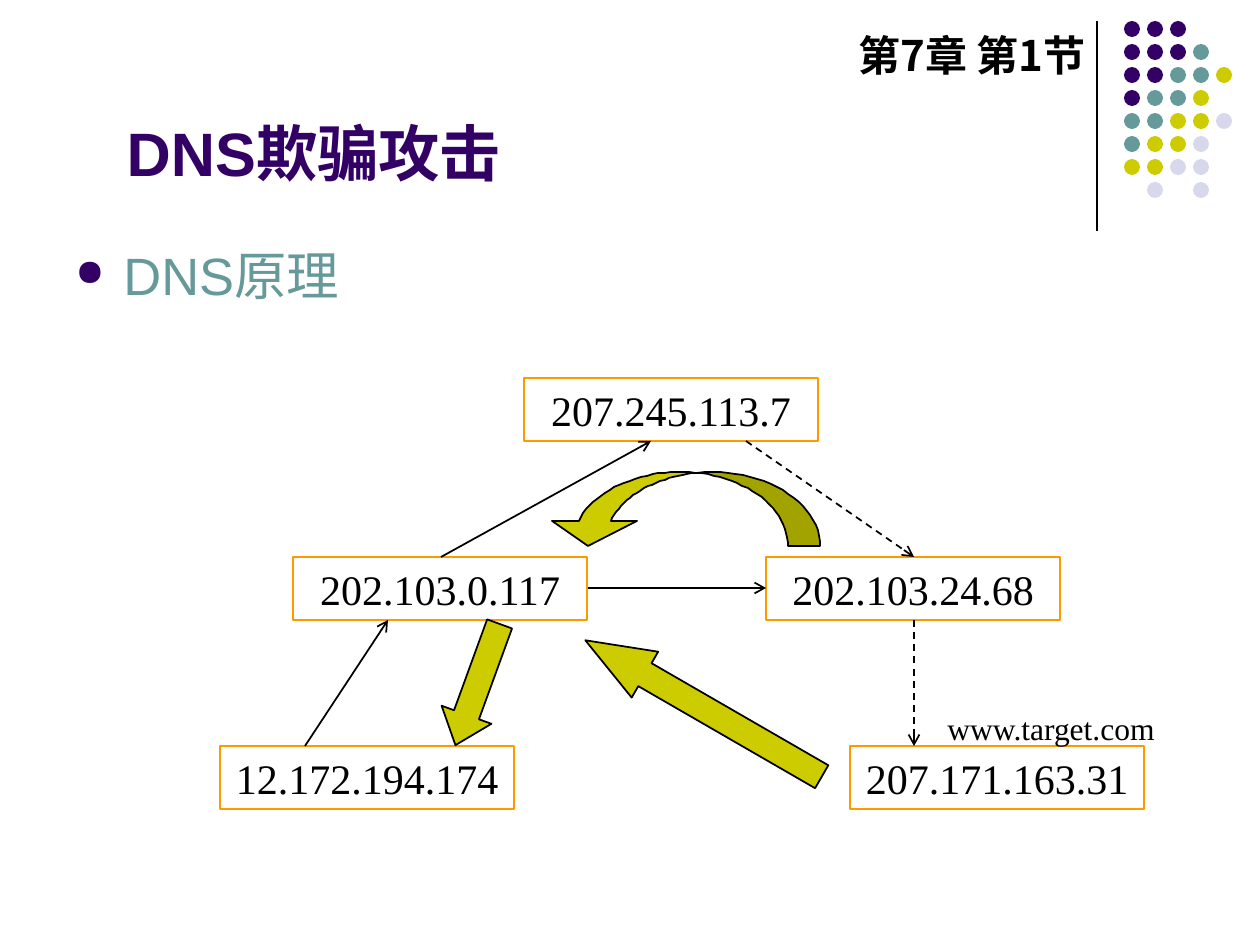
import math

import pptx
import pptx.dml.color
import pptx.enum.dml
import pptx.enum.shapes
import pptx.enum.text
import pptx.oxml
import pptx.oxml.ns
import pptx.util

PX = 914400 / 126
COLORS = {
    "purple": "330066", "teal": "669999", "olive": "CCCC00", "shade": "A3A300",
    "pale": "D8D8EC", "orange": "FF9900", "black": "000000",
}
SHAPES = pptx.enum.shapes.MSO_SHAPE
ALIGN = pptx.enum.text.PP_ALIGN
ANCHOR = pptx.enum.text.MSO_ANCHOR


def px(value):
    return pptx.util.Emu(round(value * PX))


def box_emu(*box):
    return [px(value) for value in box]


def rgb(name):
    return pptx.dml.color.RGBColor.from_string(COLORS[name])


def add_element(parent, tag, **attributes):
    element = pptx.oxml.parse_xml(f"<a:{tag} {pptx.oxml.ns.nsdecls('a')}/>")
    for key, value in attributes.items():
        element.set(key, str(value))
    parent.append(element)
    return element


def write_text(shape, text, size, font, color="black", bold=False,
               align=ALIGN.LEFT, anchor=ANCHOR.TOP, wrap=True):
    frame = shape.text_frame
    frame.text = text
    frame.word_wrap = wrap
    frame.auto_size = pptx.enum.text.MSO_AUTO_SIZE.NONE
    frame.vertical_anchor = anchor
    paragraph = frame.paragraphs[0]
    paragraph.alignment = align
    run = paragraph.runs[0]
    run.font.size = pptx.util.Pt(size)
    run.font.name = font
    run.font.bold = bold
    run.font.color.rgb = rgb(color)
    add_element(run.font._element, "ea", typeface="Noto Sans CJK SC")
    return paragraph


def style_shape(shape, fill=None, line=None):
    shape.shadow.inherit = False
    if fill:
        shape.fill.solid()
        shape.fill.fore_color.rgb = rgb(fill)
    else:
        shape.fill.background()
    if line:
        shape.line.color.rgb = rgb(line)
        shape.line.width = pptx.util.Pt(1)
    else:
        shape.line.fill.background()


def add_line(slide, start, end, width=1, dashed=False, arrow=True):
    connector = slide.shapes.add_connector(
        pptx.enum.shapes.MSO_CONNECTOR.STRAIGHT, *box_emu(*start, *end))
    connector.line.color.rgb = rgb("black")
    connector.line.width = pptx.util.Pt(width)
    if dashed:
        connector.line.dash_style = pptx.enum.dml.MSO_LINE.DASH
    if arrow:
        add_element(connector.line._get_or_add_ln(), "tailEnd", type="arrow")
    add_element(connector._element.spPr, "effectLst")


def add_corner_dots(slide, left, top):
    """Vertical rule and the dotted corner; each letter is a dot's colour."""
    add_line(slide, (left, top), (left, top + 210), 0.75, arrow=False)
    fills = {"P": "purple", "T": "teal", "O": "olive", "L": "pale"}
    rows = ["PPP", "PPPT", "PPTTO", "PTTO", "TTOOL", "TOOL", "OOLL", " L L"]
    for row, letters in enumerate(rows):
        for column, letter in enumerate(letters):
            if letter in fills:
                dot = slide.shapes.add_shape(SHAPES.OVAL, *box_emu(
                    left + 27 + 23 * column, top + 23 * row, 16, 16))
                style_shape(dot, fills[letter])


def add_title(slide, left, top, width, height):
    title = slide.shapes.title
    title.left, title.top, title.width, title.height = box_emu(left, top, width, height)
    paragraph = write_text(title, "DNS欺骗攻击", 35, "Arial", "purple", True,
                           anchor=ANCHOR.BOTTOM)
    paragraph._p.get_or_add_pPr().set("marL", str(px(51)))


def add_bullet(slide, left, top, width, height):
    body = slide.shapes.add_textbox(*box_emu(left, top, width, height))
    paragraph = write_text(body, "DNS原理", 30, "Arial", "teal")
    properties = paragraph._p.get_or_add_pPr()
    properties.set("marL", str(px(48)))
    properties.set("indent", str(-px(48)))
    bullet_color = add_element(properties, "buClr")
    add_element(bullet_color, "srgbClr", val=COLORS["purple"])
    add_element(properties, "buSzPct", val=70000)
    add_element(properties, "buChar", char="●")


def add_node(slide, left, top, address):
    node = slide.shapes.add_shape(SHAPES.RECTANGLE, *box_emu(left, top, 294, 63))
    style_shape(node, line="orange")
    write_text(node, address, 24, "Times New Roman", align=ALIGN.CENTER,
               anchor=ANCHOR.MIDDLE)


def add_block_arrow(slide, box, rotation, head):
    arrow = slide.shapes.add_shape(SHAPES.UP_ARROW, *box_emu(*box))
    arrow.adjustments[0], arrow.adjustments[1] = 0.5, head
    arrow.rotation = rotation
    style_shape(arrow, "olive", "black")


def add_curved_arrow(slide, left, top):
    """Two crossing half-ellipses bound the bright head and the shaded tail."""
    def arc(center, start, end, steps=24):
        angles = [math.radians(start + (end - start) * step / steps)
                  for step in range(steps + 1)]
        return [(left + center + 108 * math.cos(angle),
                 top + 74 - 74 * math.sin(angle)) for angle in angles]

    near, far = 128, 160
    head = [(left + x, top + y) for x, y in ((85, 49), (36, 74), (0, 49))]
    bright = arc(near, 160, 82) + arc(far, 98, 160) + head
    shaded = arc(far, 98, 0) + arc(near, 0, 82)
    for points, fill in ((bright, "olive"), (shaded, "shade")):
        builder = slide.shapes.build_freeform(*points[0], scale=PX)
        builder.add_line_segments(points[1:], close=True)
        style_shape(builder.convert_to_shape(), fill, "black")


def add_network(slide, left, top):
    """Address boxes, query arrows and reply arrows."""
    def at(x, y):
        return left + x, top + y

    nodes = [(0, 368, "12.172.194.174"), (73, 179, "202.103.0.117"),
             (546, 179, "202.103.24.68"), (630, 368, "207.171.163.31"),
             (304, 0, "207.245.113.7")]
    for x, y, address in nodes:
        add_node(slide, *at(x, y), address)

    label = slide.shapes.add_textbox(*box_emu(*at(715, 325), 234, 50))
    write_text(label, "www.target.com", 18, "Times New Roman", wrap=False)

    queries = [((85, 368), (168, 242), False), ((221, 179), (431, 63), False),
               ((526, 63), (694, 179), True), ((368, 210), (546, 210), False),
               ((694, 242), (694, 368), True)]
    for start, end, dashed in queries:
        add_line(slide, at(*start), at(*end), dashed=dashed)

    add_curved_arrow(slide, *at(332, 94))
    add_block_arrow(slide, (*at(457, 194), 53, 273), 300, 1.3)
    add_block_arrow(slide, (*at(231, 242), 53, 129), 200, 0.61)


def add_chapter_label(slide, left, top, width, height):
    label = slide.shapes.add_textbox(*box_emu(left, top, width, height))
    write_text(label, "第7章 第1节", 24, "Noto Sans CJK SC", bold=True,
               align=ALIGN.RIGHT)


def main():
    presentation = pptx.Presentation()
    presentation.slide_width, presentation.slide_height = box_emu(1260, 945)
    slide = presentation.slides.add_slide(presentation.slide_layouts[5])
    add_corner_dots(slide, 1097, 21)
    add_title(slide, 63, 16, 1040, 179)
    add_bullet(slide, 63, 237, 1134, 359)
    add_network(slide, 220, 378)
    add_chapter_label(slide, 809, 23, 289, 113)
    presentation.save("out.pptx")


if __name__ == "__main__":
    main()
